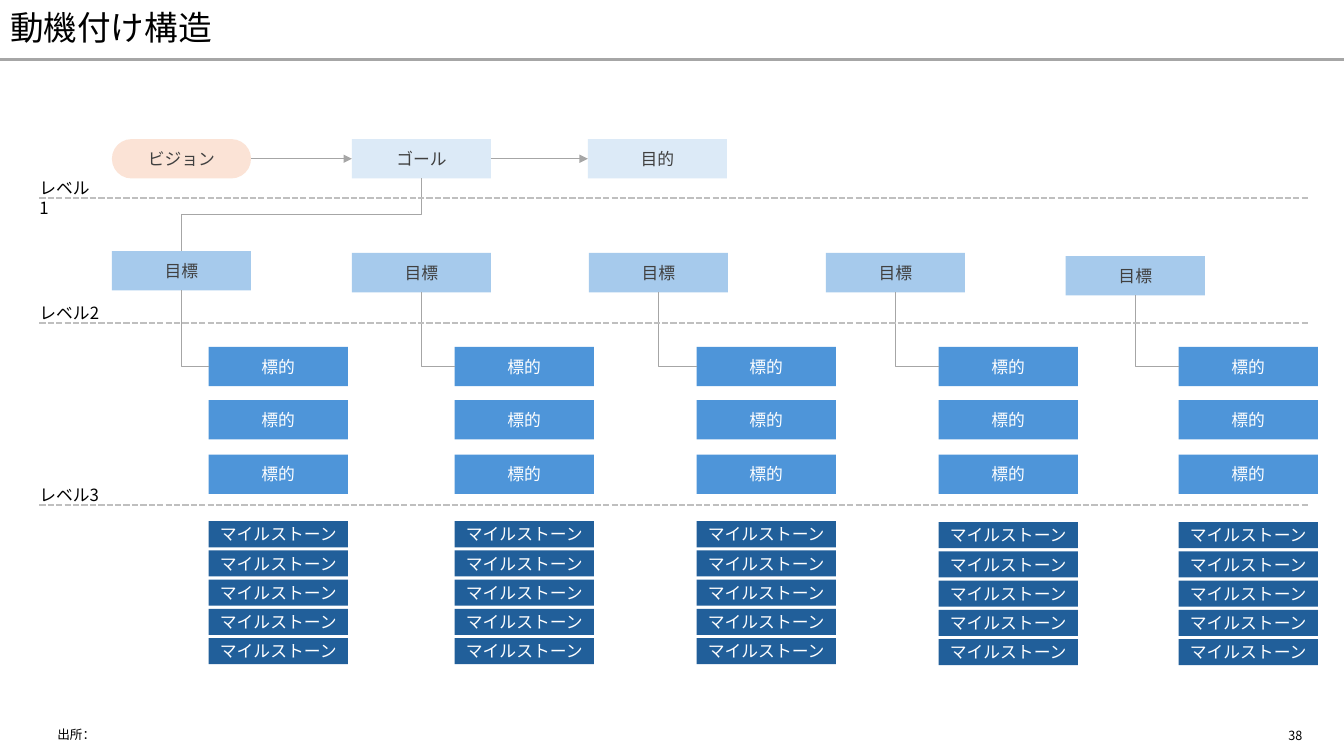
import pptx
import pptx.dml.color
import pptx.enum.dml
import pptx.enum.shapes
import pptx.enum.text
import pptx.oxml.ns
import pptx.util
from lxml import etree

EMU_PER_PX = 9144
FONT = "Noto Sans CJK JP"
SHAPES = pptx.enum.shapes.MSO_SHAPE
CONNECTORS = pptx.enum.shapes.MSO_CONNECTOR
ANCHOR = pptx.enum.text.MSO_ANCHOR
ALIGN = pptx.enum.text.PP_ALIGN
AUTO_SIZE = pptx.enum.text.MSO_AUTO_SIZE
NO_MARGINS = {"margin_left": 0, "margin_top": 0, "margin_right": 0, "margin_bottom": 0}

BOX_WIDTH, BOX_HEIGHT, MILESTONE_HEIGHT = 138, 39, 26
TOP_ROW = [
    ("ビジョン", 111, "FBE3D6", SHAPES.ROUNDED_RECTANGLE),
    ("ゴール", 349, "DCEAF7", SHAPES.RECTANGLE),
    ("目的", 583, "DCEAF7", SHAPES.RECTANGLE),
]
BRANCHES = [
    (111, 249, 207, 517),
    (349, 251, 451, 517),
    (584, 251, 691, 517),
    (819, 251, 931, 518),
    (1057, 254, 1169, 518),
]
LEVELS = [("レベル1", 176, 58), ("レベル2", 300, 61), ("レベル3", 481, 60)]


def px(length):
    """Turn a length in px into EMU."""
    return pptx.util.Emu(round(length * EMU_PER_PX))


def rgb(hex_color):
    """Turn a hex string into a colour."""
    return pptx.dml.color.RGBColor.from_string(hex_color)


def set_format(target, values):
    """Set each named format value on the target."""
    for name, value in values.items():
        setattr(target, name, value)


def write_text(shape, text, size, color, frame_format, paragraph_format):
    """Fill a shape with one formatted paragraph."""
    frame = shape.text_frame
    set_format(frame, frame_format)
    paragraph = frame.paragraphs[0]
    set_format(paragraph, paragraph_format)
    run = paragraph.add_run()
    run.text = text
    set_format(run.font, {"size": pptx.util.Pt(size), "name": FONT})
    run.font.color.rgb = rgb(color)
    east_asian = etree.SubElement(run.font._element, pptx.oxml.ns.qn("a:ea"))
    east_asian.set("typeface", FONT)


def add_title(slide, text):
    """Place and format the title placeholder."""
    title = slide.shapes.title
    set_format(title, {"left": 0, "top": 0, "width": px(1333), "height": px(59)})
    frame_format = {
        "vertical_anchor": ANCHOR.MIDDLE,
        "word_wrap": True,
        "auto_size": AUTO_SIZE.NONE,
    }
    write_text(title, text, 24, "000000", frame_format,
               {"alignment": ALIGN.LEFT, "line_spacing": 0.9})


def add_label(slide, text, left, top, width, height, size, frame_format):
    """Add a left-aligned black text box."""
    label = slide.shapes.add_textbox(px(left), px(top), px(width), px(height))
    write_text(label, text, size, "000000", frame_format, {"alignment": ALIGN.LEFT})


def add_box(slide, text, left, top, fill, color, height=BOX_HEIGHT,
            outline=SHAPES.RECTANGLE):
    """Add a filled box with centred text."""
    box = slide.shapes.add_shape(outline, px(left), px(top), px(BOX_WIDTH), px(height))
    if outline == SHAPES.ROUNDED_RECTANGLE:
        box.adjustments[0] = 0.5
    box.shadow.inherit = False
    box.fill.solid()
    box.fill.fore_color.rgb = rgb(fill)
    box.line.fill.background()
    write_text(box, text, 12, color,
               {**NO_MARGINS, "vertical_anchor": ANCHOR.MIDDLE, "word_wrap": True},
               {"alignment": ALIGN.CENTER})
    return box


def add_line(slide, kind, start, end, color, width):
    """Add a connector without a shadow."""
    line = slide.shapes.add_connector(kind, *map(px, start + end))
    line.line.color.rgb = rgb(color)
    line.line.width = pptx.util.Pt(width)
    etree.SubElement(line._element.spPr, pptx.oxml.ns.qn("a:effectLst"))
    return line


def add_arrow(slide, source, target):
    """Join two neighbouring boxes with a straight arrow."""
    arrow = add_line(slide, CONNECTORS.STRAIGHT, (0, 0), (0, 0), "A6A6A6", 1)
    arrow.begin_connect(source, 3)
    arrow.end_connect(target, 1)
    head = etree.SubElement(arrow.line._get_or_add_ln(), pptx.oxml.ns.qn("a:tailEnd"))
    head.set("type", "triangle")


def add_elbow(slide, source, target, target_site):
    """Lead a bent line from the bottom of a box to the top or left of another."""
    elbow = add_line(slide, CONNECTORS.ELBOW, (0, 0), (0, 0), "A6A6A6", 1)
    elbow.begin_connect(source, 2)
    elbow.end_connect(target, target_site)
    begin_x, begin_y = source.left + source.width // 2, source.top + source.height
    end_x, end_y = target.left, target.top
    if target_site == 0:
        end_x += target.width // 2
    else:
        end_y += target.height // 2
        elbow._element.spPr.find(pptx.oxml.ns.qn("a:prstGeom")).set("prst", "bentConnector2")
    drop, reach = end_y - begin_y, abs(end_x - begin_x)
    set_format(elbow, {
        "left": (begin_x + end_x - drop) // 2,
        "top": (begin_y + end_y - reach) // 2,
        "width": drop,
        "height": reach,
    })
    rightward = end_x > begin_x
    set_format(elbow._element.spPr.xfrm, {
        "rot": 270.0 if rightward else 90.0,
        "flipH": rightward,
        "flipV": False,
    })


def add_branch(slide, objective_left, objective_top, column_left, milestone_top):
    """Add an objective with its targets and milestones."""
    objective = add_box(slide, "目標", objective_left, objective_top, "A6CAEC", "404040")
    targets = [add_box(slide, "標的", column_left, 344 + row * 107 // 2, "4E95D9", "FFFFFF")
               for row in range(3)]
    for row in range(5):
        add_box(slide, "マイルストーン", column_left, milestone_top + row * 29,
                "215F9A", "FFFFFF", MILESTONE_HEIGHT)
    add_elbow(slide, objective, targets[0], 1)
    return objective


def add_level(slide, text, top, width):
    """Add a level label and its dashed divider."""
    add_label(slide, text, 39, top, width, 20, 12,
              {**NO_MARGINS, "word_wrap": False, "auto_size": AUTO_SIZE.SHAPE_TO_FIT_TEXT})
    divider = add_line(slide, CONNECTORS.STRAIGHT, (39, top + 20), (1299, top + 20),
                       "BFBFBF", 1.5)
    divider.line.dash_style = pptx.enum.dml.MSO_LINE.SQUARE_DOT


def main():
    """Build the motivation structure slide."""
    deck = pptx.Presentation()
    set_format(deck, {"slide_width": px(1333), "slide_height": px(750)})
    slide = deck.slides.add_slide(deck.slide_layouts[5])
    add_line(slide, CONNECTORS.STRAIGHT, (0, 59), (1333, 59), "A6A6A6", 2.25)
    add_title(slide, "動機付け構造")
    add_label(slide, "出所：", 47, 717, 1102, 24, 9,
              {"vertical_anchor": ANCHOR.MIDDLE, "word_wrap": True})
    add_label(slide, "38", 1268, 717, 59, 24, 9, {"word_wrap": True})
    vision, goal, purpose = [
        add_box(slide, text, left, 138, fill, "404040", outline=outline)
        for text, left, fill, outline in TOP_ROW
    ]
    add_arrow(slide, vision, goal)
    add_arrow(slide, goal, purpose)
    objectives = [add_branch(slide, *branch) for branch in BRANCHES]
    add_elbow(slide, goal, objectives[0], 0)
    for level in LEVELS:
        add_level(slide, *level)
    deck.save("out.pptx")


if __name__ == "__main__":
    main()
